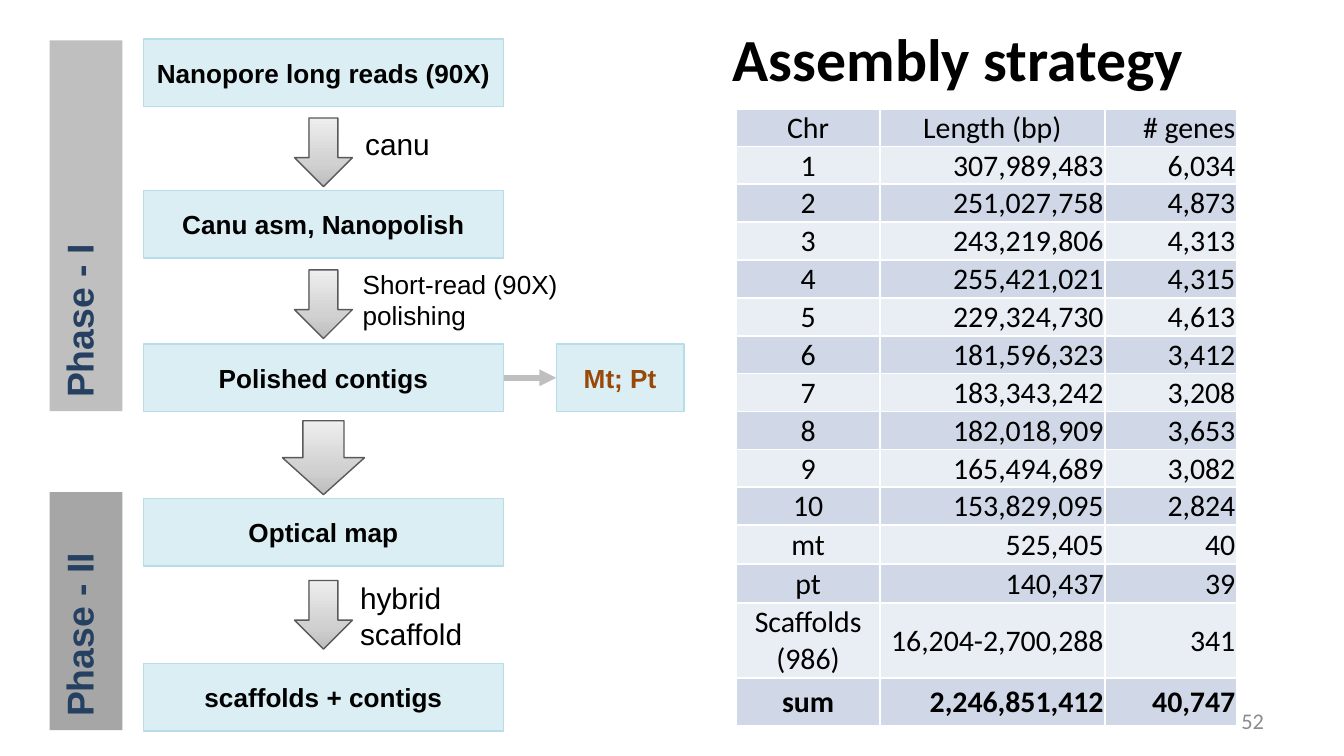
from copy import deepcopy

from lxml import etree
from pptx import Presentation
from pptx.dml.color import RGBColor
from pptx.enum import shapes, text
from pptx.oxml.ns import qn
from pptx.util import Pt

COLORS = {
    "black": "000000", "navy": "254061", "brown": "984807", "page": "8C8C8C",
    "phase1": "BFBFBF", "phase2": "A6A6A6", "link": "BFBFBF",
    "box": "DBEEF4", "box_line": "B7DEE8", "arrow_line": "595959",
    "arrow_dark": "BDBDBD", "arrow_mid": "D1D1D1", "arrow_light": "EEEEEE",
    "row_dark": "D0D8E8", "row_light": "E9EDF4",
}
ARROW_STOPS = [(0, "arrow_dark"), (0.35, "arrow_mid"), (1, "arrow_light")]
LEFT, CENTER, RIGHT = text.PP_ALIGN.LEFT, text.PP_ALIGN.CENTER, text.PP_ALIGN.RIGHT
TOP, MIDDLE = text.MSO_ANCHOR.TOP, text.MSO_ANCHOR.MIDDLE

BOX_LEFT, BOX_WIDTH, BOX_HEIGHT = 76.8, 193, 36
BOX_CENTER = BOX_LEFT + BOX_WIDTH / 2
STEPS = [
    ("Nanopore long reads (90X)", 21),
    ("Canu asm, Nanopolish", 102.2),
    ("Polished contigs", 184.4),
    ("Optical map", 267.2),
    ("scaffolds + contigs", 355.6),
]
ARROWS = [(63.2, 31, 36.8), (144.6, 31, 36.8), (225.4, 44, 39.6), (311, 31, 36.8)]
LABELS = [
    (["canu"], (188.6, 63.4, 50, 26.6), 16),
    (["Short-read (90X)", "polishing"], (187.2, 142.6, 130, 36), 14),
    (["hybrid", "scaffold"], (185.8, 306.7, 80, 46), 16),
]
ROWS = [
    ("Chr", "Length (bp)", "# genes"),
    ("1", "307,989,483", "6,034"),
    ("2", "251,027,758", "4,873"),
    ("3", "243,219,806", "4,313"),
    ("4", "255,421,021", "4,315"),
    ("5", "229,324,730", "4,613"),
    ("6", "181,596,323", "3,412"),
    ("7", "183,343,242", "3,208"),
    ("8", "182,018,909", "3,653"),
    ("9", "165,494,689", "3,082"),
    ("10", "153,829,095", "2,824"),
    ("mt", "525,405", "40"),
    ("pt", "140,437", "39"),
    ("Scaffolds\n(986)", "16,204-2,700,288", "341"),
    ("sum", "2,246,851,412", "40,747"),
]
COL_WIDTHS = [77, 120.5, 70.5]
ROW_HEIGHTS = [20] + [20.3] * 10 + [20.9] * 2 + [40, 25.7]


def rgb(name):
    return RGBColor.from_string(COLORS[name])


class SlideBuilder:
    def __init__(self, slide):
        self.slide = slide

    def set_text(self, tf, lines, size, color="black", bold=False, align=LEFT,
                 anchor=MIDDLE, font="Arial"):
        tf.word_wrap = True
        tf.vertical_anchor = anchor
        tf.text = "\n".join(lines)
        for p in tf.paragraphs:
            p.alignment = align
            p.font.name, p.font.size, p.font.bold = font, Pt(size), bold
            p.font.color.rgb = rgb(color)

    def shape(self, kind, bounds, line=None):
        sp = self.slide.shapes.add_shape(kind, *map(Pt, bounds))
        sp.shadow.inherit = False
        if line:
            sp.line.color.rgb = rgb(line)
            sp.line.width = Pt(0.75)
        else:
            sp.line.fill.background()
        return sp

    def rectangle(self, bounds, fill, line=None):
        sp = self.shape(shapes.MSO_SHAPE.RECTANGLE, bounds, line)
        sp.fill.solid()
        sp.fill.fore_color.rgb = rgb(fill)
        return sp

    def phase(self, label, top, height, fill):
        """Draw a grey bar whose label reads upwards from its foot."""
        sp = self.rectangle((26.6, top, 39, height), fill)
        self.set_text(sp.text_frame, [label], 20, "navy", True, anchor=TOP)
        sp.text_frame._txBody.bodyPr.set("vert", "vert270")

    def box(self, label, left, top, width, color="black"):
        sp = self.rectangle((left, top, width, BOX_HEIGHT), "box", "box_line")
        self.set_text(sp.text_frame, [label], 14, color, True, CENTER)
        return sp

    def down_arrow(self, top, width, height):
        bounds = (BOX_CENTER - width / 2, top, width, height)
        sp = self.shape(shapes.MSO_SHAPE.DOWN_ARROW, bounds, "arrow_line")
        sp.fill.gradient()
        sp.fill.gradient_angle = 90
        first = sp._element.spPr.find(".//" + qn("a:gs"))
        first.addnext(deepcopy(first))
        for stop, (position, color) in zip(sp.fill.gradient_stops, ARROW_STOPS):
            stop.position = position
            stop.color.rgb = rgb(color)

    def link(self, start, end):
        """Join the right side of start to the left side of end."""
        line = self.slide.shapes.add_connector(
            shapes.MSO_CONNECTOR.STRAIGHT, 0, 0, 0, 0)
        line.begin_connect(start, 3)
        line.end_connect(end, 1)
        line.line.color.rgb = rgb("link")
        line.line.width = Pt(3)
        etree.SubElement(line.line._get_or_add_ln(), qn("a:tailEnd"), type="triangle")
        etree.SubElement(line._element.spPr, qn("a:effectLst"))

    def label(self, lines, bounds, size, **style):
        sp = self.slide.shapes.add_textbox(*map(Pt, bounds))
        self.set_text(sp.text_frame, lines, size, **style)

    def title(self, words, bounds):
        sp = self.slide.shapes.title
        sp.left, sp.top, sp.width, sp.height = map(Pt, bounds)
        self.set_text(sp.text_frame, [words], 32, bold=True, align=CENTER,
                      font="Calibri")

    def table(self, left, top):
        frame = self.slide.shapes.add_table(
            len(ROWS), len(COL_WIDTHS), Pt(left), Pt(top),
            Pt(sum(COL_WIDTHS)), Pt(sum(ROW_HEIGHTS)))
        table = frame.table
        table.first_row = table.horz_banding = False
        for column, width in zip(table.columns, COL_WIDTHS):
            column.width = Pt(width)
        for i, (row, height) in enumerate(zip(table.rows, ROW_HEIGHTS)):
            row.height = Pt(height)
            for j, (cell, words) in enumerate(zip(row.cells, ROWS[i])):
                cell.margin_left = cell.margin_right = cell.margin_top = Pt(0.6)
                cell.margin_bottom = 0
                cell.vertical_anchor = MIDDLE
                cell.fill.solid()
                cell.fill.fore_color.rgb = rgb("row_light" if i % 2 else "row_dark")
                centred = j == 0 or (i == 0 and j == 1)
                cell.text = words
                for p in cell.text_frame.paragraphs:
                    p.alignment = CENTER if centred else RIGHT
                    p.font.name, p.font.size = "Calibri", Pt(16)
                    p.font.bold = i == len(ROWS) - 1
                    p.font.color.rgb = rgb("black")


def main():
    prs = Presentation()
    prs.slide_width, prs.slide_height = Pt(720), Pt(405)
    s = SlideBuilder(prs.slides.add_slide(prs.slide_layouts[5]))

    s.title("Assembly strategy", (333.4, 0, 360, 61.2))
    s.phase("Phase - I", 21.6, 198.7, "phase1")
    s.phase("Phase - II", 263.6, 127.6, "phase2")
    boxes = [s.box(name, BOX_LEFT, top, BOX_WIDTH) for name, top in STEPS]
    organelles = s.box("Mt; Pt", 298, STEPS[2][1], 68.4, "brown")
    s.link(boxes[2], organelles)
    for arrow in ARROWS:
        s.down_arrow(*arrow)
    for lines, bounds, size in LABELS:
        s.label(lines, bounds, size)
    s.table(394.4, 58.4)
    s.label(["52"], (516.2, 375.4, 168, 21.6), 12, color="page",
            align=RIGHT, font="Calibri")

    prs.save("out.pptx")


if __name__ == "__main__":
    main()
